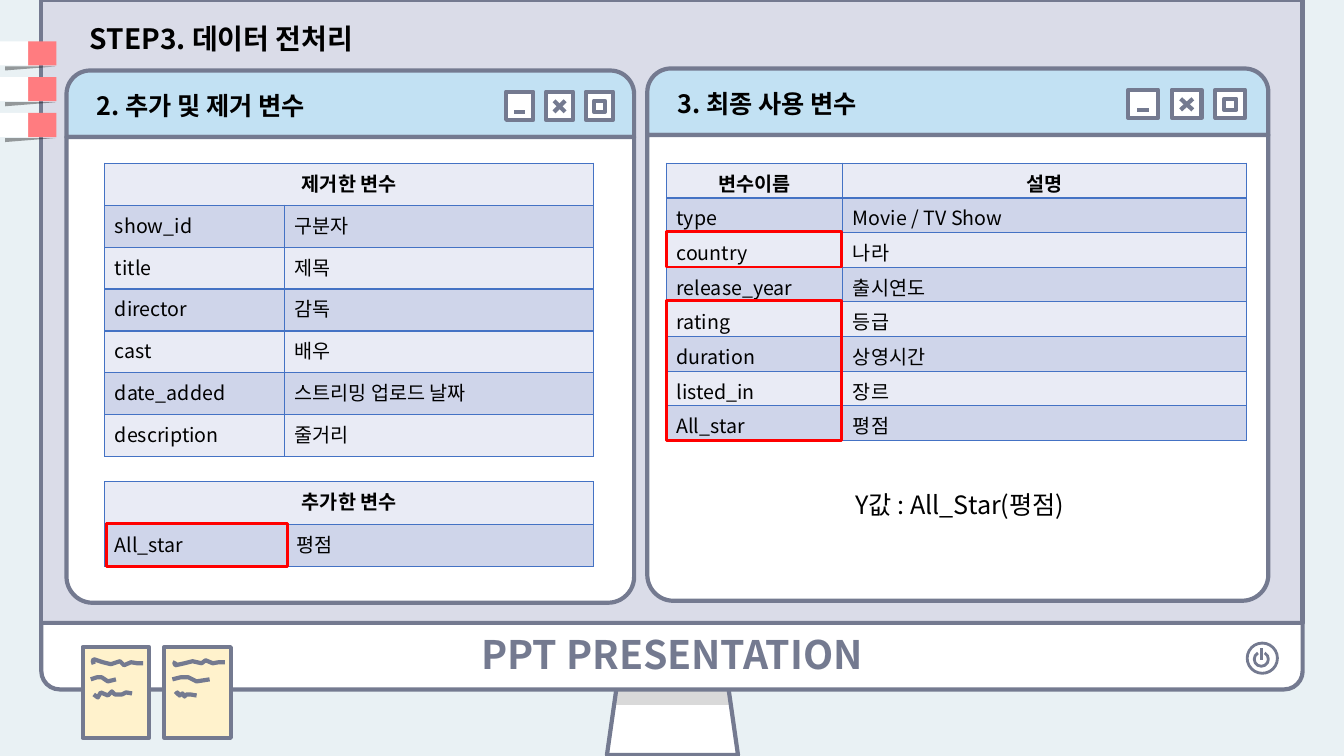
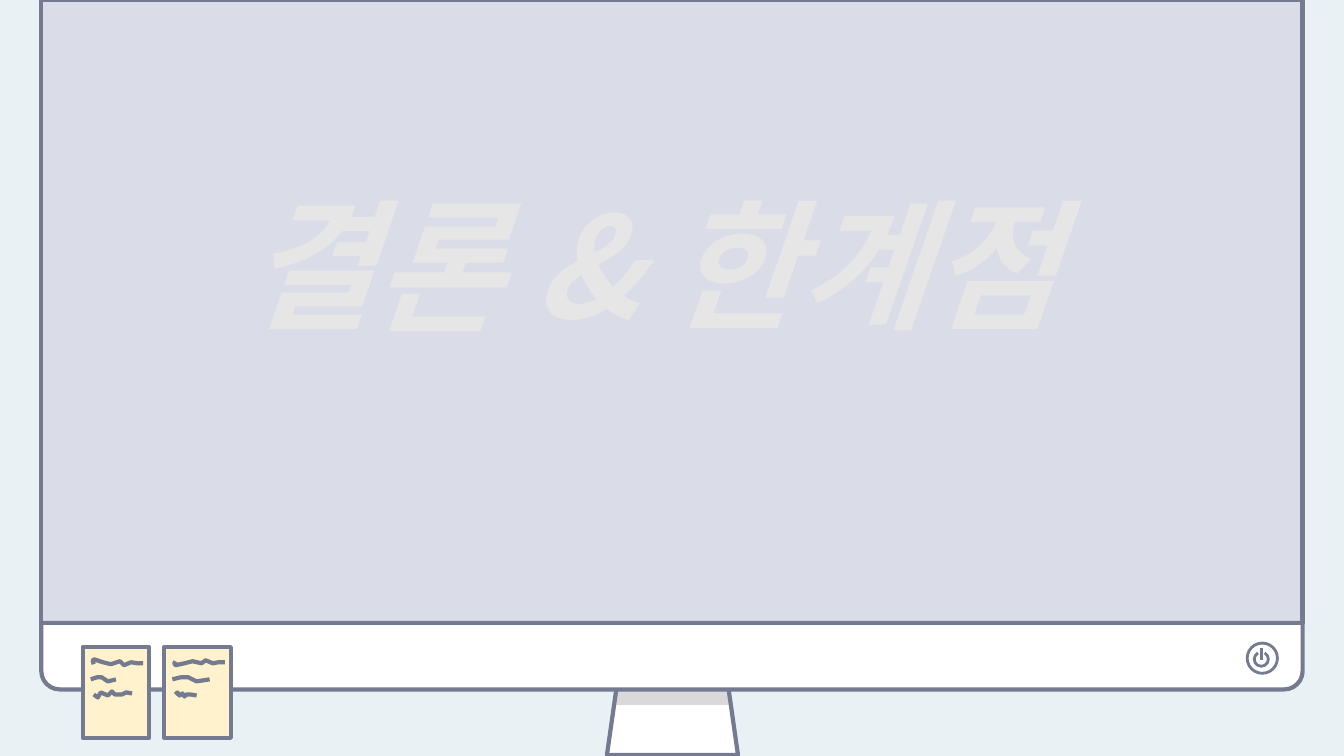
from pptx import Presentation
from pptx.dml.color import RGBColor
from pptx.enum.shapes import MSO_CONNECTOR, MSO_SHAPE
from pptx.enum.text import MSO_ANCHOR, MSO_AUTO_SIZE, PP_ALIGN
from pptx.oxml import parse_xml
from pptx.oxml.ns import nsdecls, qn
from pptx.util import Inches, Pt
from lxml.etree import SubElement

FONT = "Noto Sans CJK KR"
SKY = RGBColor(0xE9, 0xF1, 0xF4)
SCREEN = RGBColor(0xDA, 0xDC, 0xE8)
SLATE = RGBColor(0x74, 0x7A, 0x90)
BLUE = RGBColor(0xC2, 0xE1, 0xF3)
CREAM = RGBColor(0xFF, 0xF2, 0xCC)
CORAL = RGBColor(0xFF, 0x7C, 0x80)
RED = RGBColor(0xFF, 0x00, 0x00)
WHITE = RGBColor(0xFF, 0xFF, 0xFF)
BLACK = RGBColor(0x00, 0x00, 0x00)
GREY = RGBColor(0xD9, 0xD9, 0xD9)
PALE = RGBColor(0xE7, 0xE6, 0xE6)
BANDS = [RGBColor(0xE9, 0xEB, 0xF5), RGBColor(0xCF, 0xD5, 0xEA)]
EDGE = "4472C4"
LEFT, MID = PP_ALIGN.LEFT, PP_ALIGN.CENTER
RECT, ROUND = MSO_SHAPE.RECTANGLE, MSO_SHAPE.ROUND_2_SAME_RECTANGLE


def draw(slide, kind, box, fill=None, line=SLATE, width=3, adj=()):
    shape = slide.shapes.add_shape(kind, *map(Inches, box))
    shape.shadow.inherit = False
    if fill is None:
        shape.fill.background()
    else:
        shape.fill.solid()
        shape.fill.fore_color.rgb = fill
    if line is None:
        shape.line.fill.background()
    else:
        shape.line.color.rgb = line
        shape.line.width = Pt(width)
    for i, value in enumerate(adj):
        shape.adjustments[i] = value
    return shape


def write(frame, text, size, color=BLACK, bold=True, align=LEFT, italic=False):
    frame.text = text
    frame.word_wrap = True
    para = frame.paragraphs[0]
    para.alignment = align
    font = para.runs[0].font
    font.size, font.bold, font.italic = Pt(size), bold, italic
    font.color.rgb = color
    font.name = FONT
    SubElement(para.runs[0].font._element, qn("a:ea"), typeface=FONT)


prs = Presentation()
prs.slide_width, prs.slide_height = Inches(13.33), Inches(7.5)
prs.slide_master.background.fill.solid()
prs.slide_master.background.fill.fore_color.rgb = SKY

# Slide contents: title, size, colour, alignment, italic, box, footer
pages = [
    ("STEP3. 데이터 전처리", 20, BLACK, LEFT, False,
     (0.79, 0.16, 7.9, 0.44), "PPT PRESENTATION"),
    ("결론 & 한계점", 100, PALE, MID, True, (0.4, 1.6, 12.1, 2), None),
]

# Sticky notes: left edge and scribbles
notes = [
    (0.82, [
        [(0.93, 6.59), (0.92, 6.56), (0.93, 6.54), (1.02, 6.57), (1.1, 6.59),
         (1.19, 6.56), (1.23, 6.6), (1.3, 6.57), (1.36, 6.58), (1.42, 6.58)],
        [(0.9, 6.74), (0.96, 6.72), (1.01, 6.72), (1.07, 6.76), (1.15, 6.74)],
        [(0.93, 6.89), (0.97, 6.92), (1, 6.87), (1.07, 6.9), (1.11, 6.86),
         (1.14, 6.89), (1.21, 6.89), (1.25, 6.87), (1.31, 6.88)]]),
    (1.63, [
        [(1.74, 6.56), (1.73, 6.58), (1.74, 6.6), (1.83, 6.58), (1.91, 6.56),
         (2, 6.58), (2.04, 6.55), (2.11, 6.58), (2.17, 6.57), (2.23, 6.57)],
        [(1.71, 6.74), (1.79, 6.72), (1.87, 6.72), (1.95, 6.76), (2.08, 6.74)],
        [(1.74, 6.89), (1.76, 6.87), (1.78, 6.9), (1.81, 6.88), (1.83, 6.91),
         (1.85, 6.89), (1.89, 6.89), (1.95, 6.9)]]),
]

# Windows: heading, left, top, width
panes = [("2. 추가 및 제거 변수", 0.66, 0.7, 5.63),
         ("3. 최종 사용 변수", 6.42, 0.68, 6.16)]

# Tables: left, top, column widths, row height, rows
tables = [
    (1.04, 1.62, (1.78, 3.07), 0.416,
     [("제거한 변수",), ("show_id", "구분자"), ("title", "제목"),
      ("director", "감독"), ("cast", "배우"),
      ("date_added", "스트리밍 업로드 날짜"), ("description", "줄거리")]),
    (1.04, 4.78, (1.8, 3.05), 0.42, [("추가한 변수",), ("All_star", "평점")]),
    (6.61, 1.62, (1.75, 4), 2.75 / 8,
     [("변수이름", "설명"), ("type", "Movie / TV Show"), ("country", "나라"),
      ("release_year", "출시연도"), ("rating", "등급"),
      ("duration", "상영시간"), ("listed_in", "장르"), ("All_star", "평점")]),
]
marks = [(1.06, 5.19, 1.79, 0.43), (6.61, 2.3, 1.74, 0.35),
         (6.61, 2.98, 1.74, 1.39)]

for page, (title, size, color, align, slant, spot, foot) in enumerate(pages):
    slide = prs.slides.add_slide(prs.slide_layouts[5])

    # Monitor: stand, screen, base and power button
    stand = draw(slide, MSO_SHAPE.TRAPEZOID, (6.02, 6.58, 1.3, 0.91),
                 WHITE, adj=[0.143])
    stand.fill.gradient()
    stand.fill.gradient_angle = 270
    for stop, (place, tint) in zip(stand.fill.gradient_stops,
                                   [(0.45, GREY), (0.46, WHITE)]):
        stop.position = place
        stop.color.rgb = tint
    draw(slide, RECT, (0.41, 0, 12.51, 6.18), SCREEN)
    base = draw(slide, ROUND, (0.41, 6.18, 12.51, 0.66), WHITE, adj=[0, 0.276])
    if foot:
        write(base.text_frame, foot, 28, SLATE, align=MID)
    draw(slide, MSO_SHAPE.OVAL, (12.37, 6.38, 0.3, 0.3), WHITE, width=2)
    draw(slide, MSO_SHAPE.ARC, (12.44, 6.47, 0.14, 0.14), width=2,
         adj=[179, 145])
    strokes = [(12.51, 6.43, 12.51, 6.55, 2)]

    # Sticky notes
    for left, lines in notes:
        draw(slide, RECT, (left, 6.42, 0.66, 0.9), CREAM)
        for points in lines:
            points = [(Inches(x), Inches(y)) for x, y in points]
            pen = slide.shapes.build_freeform(*points[0])
            pen.add_line_segments(points[1:], close=False)
            curve = pen.convert_to_shape()
            curve.shadow.inherit = False
            curve.fill.background()
            curve.line.color.rgb = SLATE
            curve.line.width = Pt(3)

    # Title, in front of the screen
    head = slide.shapes.title
    head.left, head.top, head.width, head.height = map(Inches, spot)
    write(head.text_frame, title, size, color, align=align, italic=slant)
    head.text_frame.auto_size = MSO_AUTO_SIZE.NONE
    head.text_frame.vertical_anchor = MSO_ANCHOR.MIDDLE
    head.element.getparent().append(head.element)

    # Windows with their three buttons
    labels = []
    for name, x, y, w in panes if page == 0 else []:
        k = w / 5.63
        draw(slide, ROUND, (x, y, w, 0.66), BLUE, adj=[0.356, 0])
        draw(slide, ROUND, (x, y + 0.66, w, 4.62), WHITE, adj=[0, 0.056])
        keys = [x + k * (4.36 + 0.395 * i) for i in range(3)]
        for key in keys:
            draw(slide, RECT, (key, y + 0.21, 0.27 * k, 0.28), WHITE)
        draw(slide, RECT, (keys[2] + 0.08 * k, y + 0.3, 0.11 * k, 0.11), WHITE)
        for key, rise, fall in [(keys[0], 0.41, 0.41), (keys[1], 0.3, 0.41),
                                (keys[1], 0.41, 0.3)]:
            strokes.append((key + 0.08 * k, y + rise,
                            key + 0.19 * k, y + fall, 3))
        labels.append((name, x + 0.2, y + 0.15, 3.1, True, LEFT))

    # Lines of the buttons
    for x1, y1, x2, y2, width in strokes:
        line = slide.shapes.add_connector(
            MSO_CONNECTOR.STRAIGHT, *map(Inches, (x1, y1, x2, y2)))
        line.line.color.rgb = SLATE
        line.line.width = Pt(width)
        SubElement(line.element.spPr, qn("a:effectLst"))

    if page > 0:
        continue

    # Window headings and target value
    labels.append(("Y값 : All_Star(평점)", 6.67, 4.8, 5.7, False, MID))
    for text, x, y, w, bold, side in labels:
        label = slide.shapes.add_textbox(*map(Inches, (x, y, w, 0.4)))
        write(label.text_frame, text, 18, bold=bold, align=side)
        label.text_frame.vertical_anchor = MSO_ANCHOR.MIDDLE

    # Tables
    for x, y, cols, high, rows in tables:
        box = map(Inches, (x, y, sum(cols), high * len(rows)))
        table = slide.shapes.add_table(len(rows), 2, *box).table
        for c, w in enumerate(cols):
            table.columns[c].width = Inches(w)
        for r, row in enumerate(rows):
            table.rows[r].height = Inches(high)
            for c in range(2):
                cell = table.cell(r, c)
                cell.margin_bottom = 0
                props = cell._tc.get_or_add_tcPr()
                for side in "LRTB":
                    props.append(parse_xml(
                        f'<a:ln{side} {nsdecls("a")} w="12700"><a:solidFill>'
                        f'<a:srgbClr val="{EDGE}"/></a:solidFill></a:ln{side}>'))
                cell.fill.solid()
                cell.fill.fore_color.rgb = BANDS[r % 2]
                if c < len(row):
                    write(cell.text_frame, row[c], 14, bold=r == 0,
                          align=LEFT if r else MID)
            if len(row) == 1:
                table.cell(r, 0).merge(table.cell(r, 1))

    # Red frames around the chosen variables
    for box in marks:
        draw(slide, RECT, box, line=RED, width=2)

    # Index tabs at the left edge
    for i in range(3):
        y = 0.41 + 0.355 * i
        draw(slide, RECT, (0.28, y, 0.28, 0.24), CORAL, None)
        draw(slide, RECT, (0, y, 0.28, 0.24), WHITE, None)
        shade = draw(slide, MSO_SHAPE.RIGHT_TRIANGLE,
                     (0.05, y + 0.25, 0.5, 0.04), BLACK, None)
        shade.element.spPr.xfrm.set("flipV", "1")
        tint = shade.element.spPr.find(".//" + qn("a:srgbClr"))
        SubElement(tint, qn("a:alpha"), val="37000")

prs.save("out.pptx")
